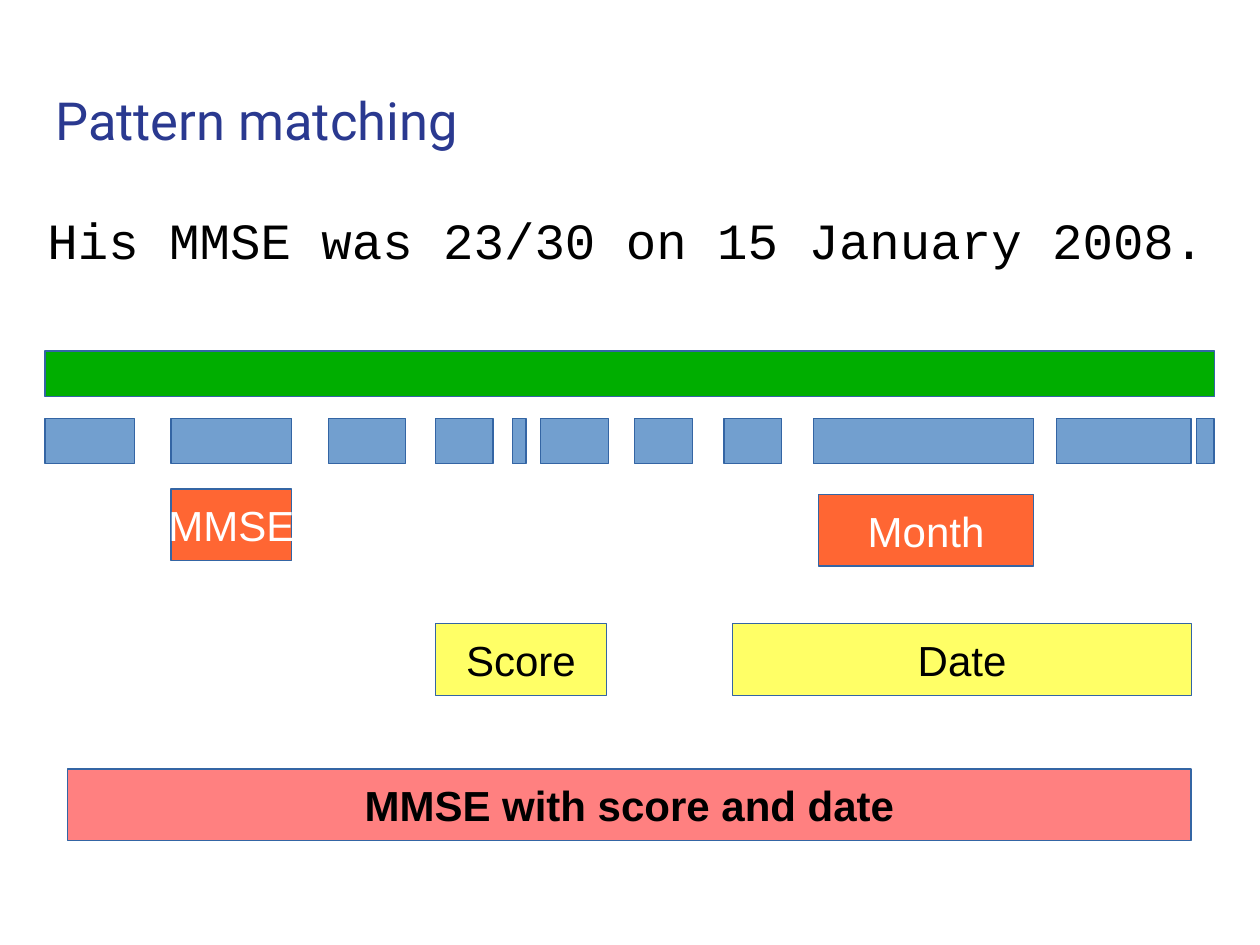
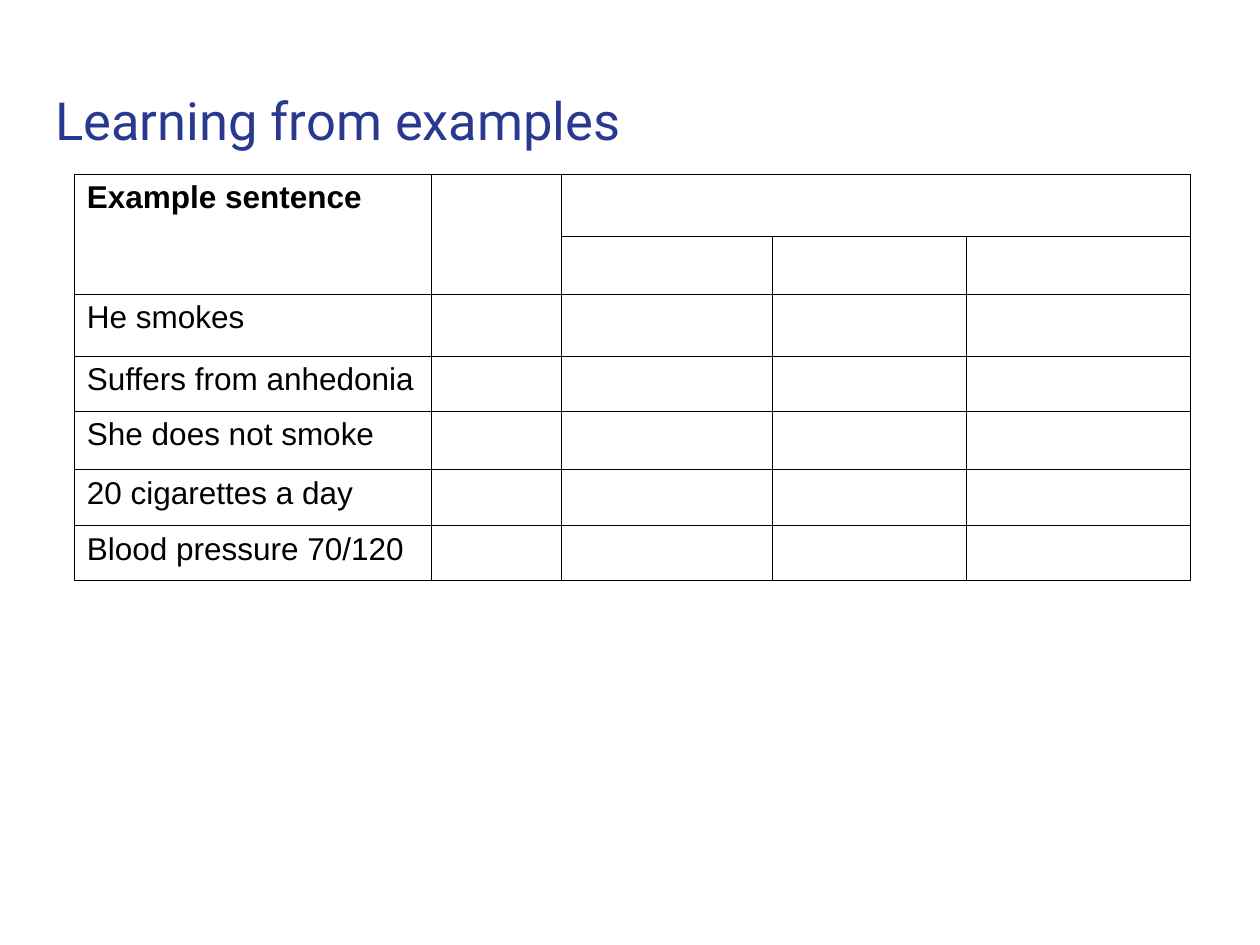
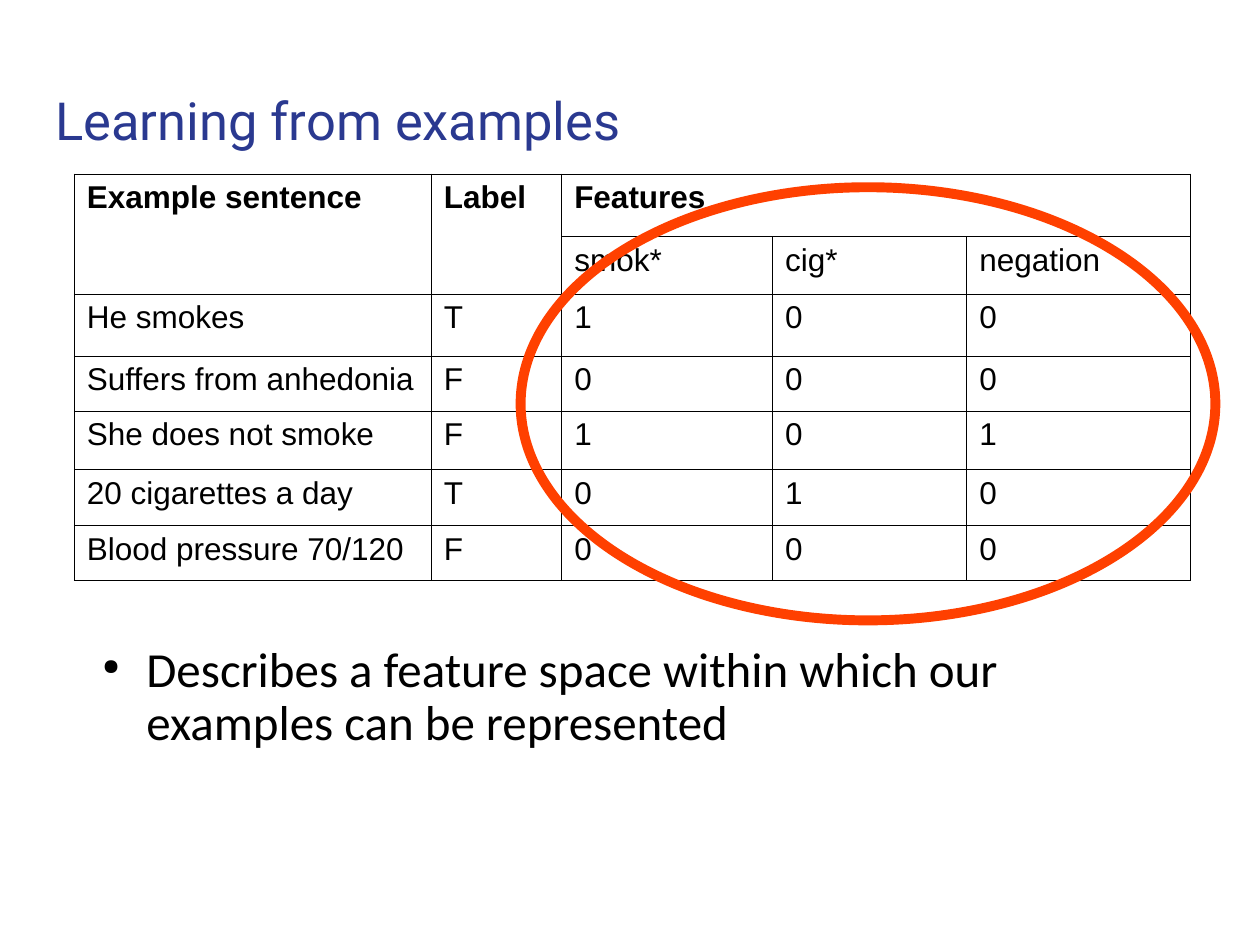
from lxml import etree
from pptx import Presentation
from pptx.dml.color import RGBColor
from pptx.enum.shapes import MSO_SHAPE
from pptx.enum.text import MSO_ANCHOR, PP_ALIGN
from pptx.oxml.ns import qn
from pptx.util import Pt

RECTANGLE = MSO_SHAPE.RECTANGLE
OVAL = MSO_SHAPE.OVAL
MIDDLE = MSO_ANCHOR.MIDDLE
CENTER = PP_ALIGN.CENTER

COLORS = {
    "title": "2A3990",
    "text": "000000",
    "light_text": "FFFFFF",
    "outline": "3465A4",
    "sentence": "00AE00",
    "token": "729FCF",
    "lookup": "FF6633",
    "phrase": "FFFF66",
    "match": "FF8080",
    "highlight": "FF4000",
}

TOKENS = [
    (0, 51), (72, 69), (162, 44), (223, 33), (267, 8), (283, 39),
    (337, 33), (388, 33), (439, 126), (578, 77), (658, 10),
]
ANNOTATIONS = [
    ("MMSE", 72, 79, 69, "lookup", "light_text", False),
    ("Month", 442, 82, 123, "lookup", "light_text", False),
    ("Score", 223, 156, 98, "phrase", "text", False),
    ("Date", 393, 156, 262, "phrase", "text", False),
    ("MMSE with score and date", 13, 239, 642, "match", "text", True),
]

COLUMN_WIDTHS = [204, 74.5, 120.5, 111, 128]
ROW_HEIGHTS = [35.7, 32.8, 35.5, 31.4, 33.4, 32.3, 31.4]
MERGES = [((0, 0), (1, 0)), ((0, 1), (1, 1)), ((0, 2), (0, 4))]
EXAMPLES = [
    ["Example sentence", "Label", "Features"],
    ["", "", "smok*", "cig*", "negation"],
    ["He smokes", "T", "1", "0", "0"],
    ["Suffers from anhedonia", "F", "0", "0", "0"],
    ["She does not smoke", "F", "1", "0", "1"],
    ["20 cigarettes a day", "T", "0", "1", "0"],
    ["Blood pressure 70/120", "F", "0", "0", "0"],
]
TABLE_BOX = (42.5, 99.5, sum(COLUMN_WIDTHS), sum(ROW_HEIGHTS))


def color(name):
    return RGBColor.from_string(COLORS[name])


def to_points(box):
    return [Pt(length) for length in box]


def format_text(text_frame, size, font_name, color_name, bold=False):
    for paragraph in text_frame.paragraphs:
        for run in paragraph.runs:
            run.font.size = Pt(size)
            run.font.name = font_name
            run.font.bold = bold
            run.font.color.rgb = color(color_name)


def add_text(slide, box, text, size, font_name, color_name, inset, wrap=True):
    text_frame = slide.shapes.add_textbox(*to_points(box)).text_frame
    text_frame.word_wrap = wrap
    text_frame.margin_left = text_frame.margin_right = Pt(inset[0])
    text_frame.margin_top = text_frame.margin_bottom = Pt(inset[1])
    text_frame.text = text
    format_text(text_frame, size, font_name, color_name)
    return text_frame


def add_titled_slide(presentation, title):
    slide = presentation.slides.add_slide(presentation.slide_layouts[6])
    add_text(slide, (24.5, 43.2, 671, 64), title, 30, "Roboto", "title", (7.2, 7.2))
    return slide


def add_bar(slide, box, fill_name):
    shape = slide.shapes.add_shape(RECTANGLE, *to_points(box))
    shape.shadow.inherit = False
    shape.fill.solid()
    shape.fill.fore_color.rgb = color(fill_name)
    shape.line.color.rgb = color("outline")
    shape.line.width = Pt(0)
    return shape


def add_token_layers(slide, box):
    left, top, width, height = box
    add_bar(slide, (left, top, width, 26), "sentence")
    for offset, token_width in TOKENS:
        add_bar(slide, (left + offset, top + 38.5, token_width, 26), "token")
    for text, across, down, label_width, fill_name, color_name, bold in ANNOTATIONS:
        label = add_bar(slide, (left + across, top + down, label_width, 41), fill_name)
        text_frame = label.text_frame
        text_frame.word_wrap = False
        text_frame.vertical_anchor = MIDDLE
        text_frame.text = text
        text_frame.paragraphs[0].alignment = CENTER
        format_text(text_frame, 24, "Arial", color_name, bold)


def style_cell(cell):
    properties = cell._tc.get_or_add_tcPr()
    for side in ("a:lnL", "a:lnR", "a:lnT", "a:lnB"):
        border = etree.SubElement(properties, qn(side), w=str(Pt(0.57)))
        fill = etree.SubElement(border, qn("a:solidFill"))
        etree.SubElement(fill, qn("a:srgbClr"), val=COLORS["text"])
    cell.fill.background()
    cell.margin_left = cell.margin_right = Pt(7.2)
    cell.margin_top = cell.margin_bottom = Pt(3.6)


def add_examples_table(slide, box, rows):
    table = slide.shapes.add_table(
        len(ROW_HEIGHTS), len(COLUMN_WIDTHS), *to_points(box)).table
    table.first_row = False
    table.horz_banding = False
    for column, width in zip(table.columns, COLUMN_WIDTHS):
        column.width = Pt(width)
    for row, height in zip(table.rows, ROW_HEIGHTS):
        row.height = Pt(height)
    for cell in table.iter_cells():
        style_cell(cell)
    for start, end in MERGES:
        table.cell(*start).merge(table.cell(*end))
    for row_index, texts in enumerate(rows):
        for column_index, text in enumerate(texts):
            if text:
                text_frame = table.cell(row_index, column_index).text_frame
                text_frame.text = text
                format_text(text_frame, 18, "Arial", "text", row_index == 0)


def add_feature_highlight(slide, box):
    ring = slide.shapes.add_shape(OVAL, *to_points(box))
    ring.shadow.inherit = False
    ring.fill.background()
    ring.line.color.rgb = color("highlight")
    ring.line.width = Pt(5.67)


def add_bullet(slide, box, text):
    text_frame = add_text(slide, box, text, 28, "Calibri", "text", (0, 0))
    paragraph = text_frame.paragraphs[0]
    paragraph.line_spacing = 0.9
    properties = paragraph._p.get_or_add_pPr()
    properties.set("marL", str(Pt(34)))
    properties.set("indent", str(Pt(-25.2)))
    bullet_color = etree.SubElement(properties, qn("a:buClr"))
    etree.SubElement(bullet_color, qn("a:srgbClr"), val=COLORS["text"])
    etree.SubElement(properties, qn("a:buSzPct"), val="45000")
    etree.SubElement(properties, qn("a:buChar"), char="●")


def build_pattern_slide(presentation):
    slide = add_titled_slide(presentation, "Pattern matching")
    add_token_layers(slide, (25.7, 200.5, 668.5, 280))
    add_text(slide, (20, 116, 679, 47.5), "His MMSE was 23/30 on 15 January 2008.",
             29, "Courier New", "text", (7.2, 3.6), wrap=False)


def build_examples_slide(presentation, rows):
    slide = add_titled_slide(presentation, "Learning from examples")
    add_examples_table(slide, TABLE_BOX, rows)
    return slide


def main():
    presentation = Presentation()
    presentation.slide_width = Pt(720)
    presentation.slide_height = Pt(540)
    build_pattern_slide(presentation)
    build_examples_slide(presentation, [row[:1] for row in EXAMPLES])
    slide = build_examples_slide(presentation, EXAMPLES)
    add_feature_highlight(slide, (297.5, 107, 397, 247.5))
    add_bullet(slide, (49.7, 368.6, 620.6, 110),
               "Describes a feature space within which our examples can be represented")
    presentation.save("out.pptx")


if __name__ == "__main__":
    main()
